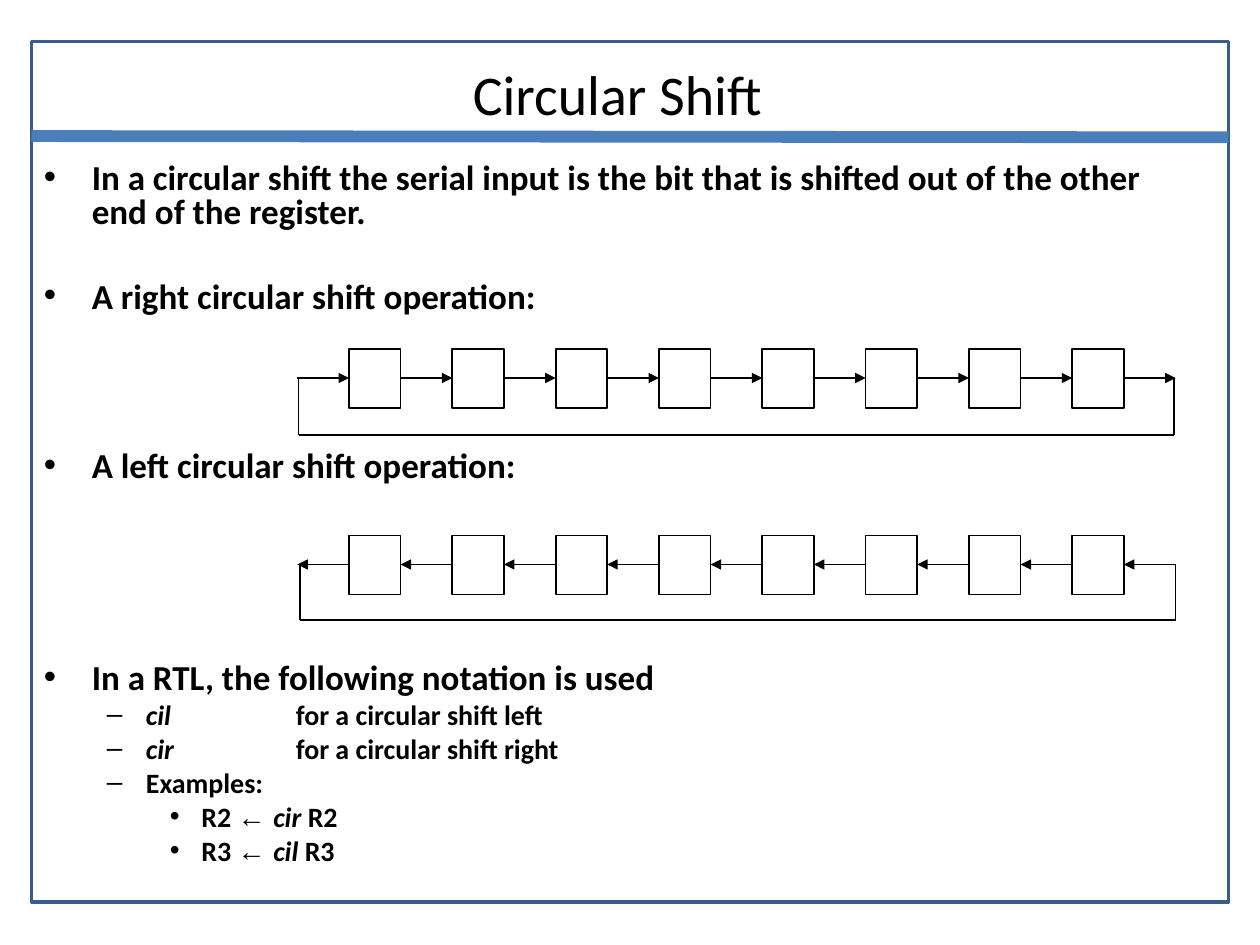
from dataclasses import dataclass

import pptx
import pptx.dml.color
import pptx.enum.shapes
import pptx.enum.text
import pptx.oxml
import pptx.oxml.ns
import pptx.util

Inches = pptx.util.Inches
Pt = pptx.util.Pt

BLACK = "000000"
CELL_COUNT = 8
CELL_WIDTH, CELL_HEIGHT = 0.41, 0.47
CELL_PITCH = 2 * CELL_WIDTH
FIRST_CELL = 2.77


@dataclass
class Level:
    bullet: str
    size: int
    left: float
    hanging: float
    space: float


@dataclass
class Span:
    text: str
    italic: bool = False
    font: str = "Calibri"


@dataclass
class Item:
    level: int
    spans: list[Span]
    space: float | None = None


@dataclass
class Register:
    top: float
    wire: float
    loop_left: float
    loop_right: float
    loop_bottom: float
    to_right: bool


LEVELS = [
    Level("•", 20, 0.38, 0.38, 5),
    Level("–", 16, 0.81, 0.31, 4),
    Level("•", 16, 1.25, 0.25, 4),
]


def notation(name: str, meaning: str) -> Item:
    return Item(1, [Span(name + "\t", True), Span(meaning)])


def example(register: str, name: str) -> Item:
    return Item(2, [Span(register + " "), Span("← ", font="Arial"),
                    Span(name, True), Span(" " + register)])


ITEMS = [
    Item(0, [Span("In a circular shift the serial input is the bit that is "
                  "shifted out of the other end of the register.")], 0),
    Item(0, [Span("A right circular shift operation:")], 29.3),
    Item(0, [Span("A left circular shift operation:")], 77.5),
    Item(0, [Span("In a RTL, the following notation is used")], 102),
    notation("cil", "for a circular shift left"),
    notation("cir", "for a circular shift right"),
    Item(1, [Span("Examples:")]),
    example("R2", "cir"),
    example("R3", "cil"),
]

REGISTERS = [
    Register(2.77, 3.0, 2.37, 9.32, 3.45, True),
    Register(4.25, 4.48, 2.38, 9.33, 4.92, False),
]


def color(value: str) -> pptx.dml.color.RGBColor:
    return pptx.dml.color.RGBColor.from_string(value)


def add_xml(parent, tag: str, **attributes: str):
    child = pptx.oxml.parse_xml(
        f"<a:{tag} {pptx.oxml.ns.nsdecls('a')}/>")
    for name, value in attributes.items():
        child.set(name, value)
    parent.append(child)
    return child


def add_line(page, start, end, stroke=BLACK, width=1.0, arrow=False) -> None:
    line = page.shapes.add_connector(
        pptx.enum.shapes.MSO_CONNECTOR.STRAIGHT,
        *(Inches(value) for value in (*start, *end)))
    line.line.color.rgb = color(stroke)
    line.line.width = Pt(width)
    if arrow:
        add_xml(line.line._get_or_add_ln(), "tailEnd", type="triangle")
    add_xml(line._element.spPr, "effectLst")


def add_frame(page, left, top, width, height, stroke=BLACK, weight=1.0) -> None:
    """Add an unfilled outlined rectangle."""
    frame = page.shapes.add_shape(
        pptx.enum.shapes.MSO_SHAPE.RECTANGLE,
        *(Inches(value) for value in (left, top, width, height)))
    frame.shadow.inherit = False
    frame.fill.background()
    frame.line.color.rgb = color(stroke)
    frame.line.width = Pt(weight)


def add_title(page, text: str) -> None:
    title = page.shapes.title
    title.left, title.top = Inches(0.69), Inches(0.42)
    title.width, title.height = Inches(8.42), Inches(0.64)
    title.text_frame.vertical_anchor = pptx.enum.text.MSO_ANCHOR.MIDDLE
    paragraph = title.text_frame.paragraphs[0]
    paragraph.text = text
    paragraph.alignment = pptx.enum.text.PP_ALIGN.CENTER
    paragraph.font.name = "Calibri"
    paragraph.font.size = Pt(32)
    paragraph.font.color.rgb = color(BLACK)


def format_item(paragraph, item: Item) -> None:
    level = LEVELS[item.level]
    paragraph.level = item.level
    paragraph.line_spacing = 0.8
    paragraph.space_before = Pt(
        level.space if item.space is None else item.space)
    properties = paragraph._p.get_or_add_pPr()
    properties.set("marL", str(Inches(level.left)))
    properties.set("indent", str(-Inches(level.hanging)))
    add_xml(add_xml(properties, "buClr"), "srgbClr", val=BLACK)
    add_xml(properties, "buFont", typeface="Arial")
    add_xml(properties, "buChar", char=level.bullet)
    add_xml(add_xml(properties, "tabLst"), "tab",
            pos=str(Inches(2)), algn="l")
    paragraph.font.size = Pt(level.size)
    paragraph.font.bold = True
    paragraph.font.color.rgb = color(BLACK)


def add_body(page, items: list[Item]) -> None:
    box = page.shapes.add_textbox(
        Inches(0.25), Inches(1.25), Inches(9.08), Inches(6.19))
    frame = box.text_frame
    frame.word_wrap = True
    for index, item in enumerate(items):
        paragraph = frame.add_paragraph() if index else frame.paragraphs[0]
        format_item(paragraph, item)
        for span in item.spans:
            run = paragraph.add_run()
            run.text = span.text
            run.font.name = span.font
            run.font.italic = span.italic


def add_register(page, register: Register) -> None:
    """Draw the cells, the arrows between them and the loop back."""
    for index in range(CELL_COUNT):
        add_frame(page, FIRST_CELL + index * CELL_PITCH, register.top,
                  CELL_WIDTH, CELL_HEIGHT)
    for index in range(CELL_COUNT + 1):
        right = FIRST_CELL + index * CELL_PITCH
        ends = [(right - CELL_WIDTH, register.wire), (right, register.wire)]
        if not register.to_right:
            ends.reverse()
        add_line(page, *ends, arrow=True)
    corners = [(register.loop_left, register.wire),
               (register.loop_left, register.loop_bottom),
               (register.loop_right, register.loop_bottom),
               (register.loop_right, register.wire)]
    for start, end in zip(corners, corners[1:]):
        add_line(page, start, end)


def main() -> None:
    deck = pptx.Presentation()
    deck.slide_width, deck.slide_height = Inches(10), Inches(7.5)
    page = deck.slides.add_slide(deck.slide_layouts.get_by_name("Title Only"))
    add_frame(page, 0.25, 0.33, 9.5, 6.83, "385D8A", 2)
    add_line(page, (0.25, 1.08), (9.75, 1.09), "4A7EBB", 6.75)
    add_title(page, "Circular Shift")
    add_body(page, ITEMS)
    for register in REGISTERS:
        add_register(page, register)
    deck.save("out.pptx")


if __name__ == "__main__":
    main()
